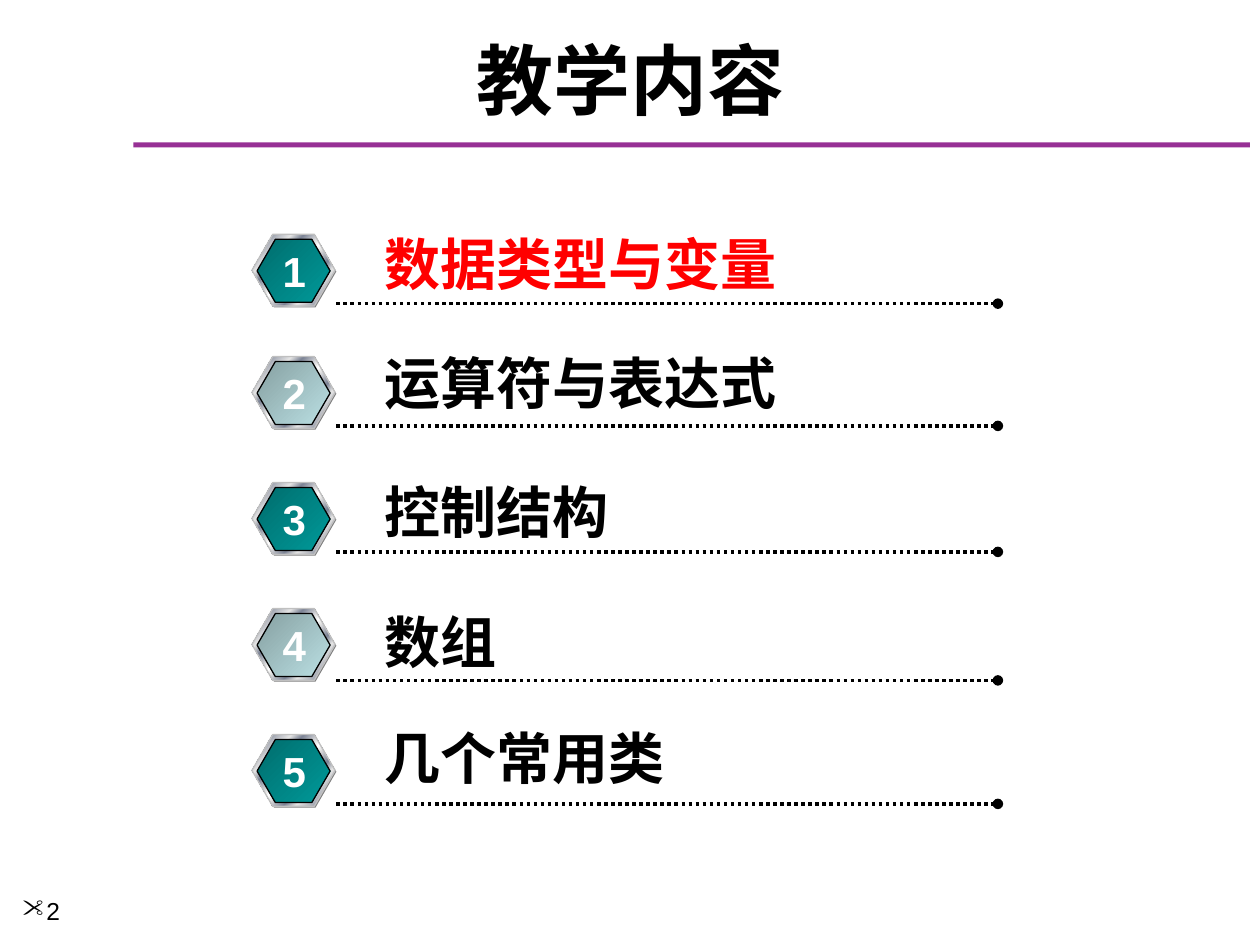
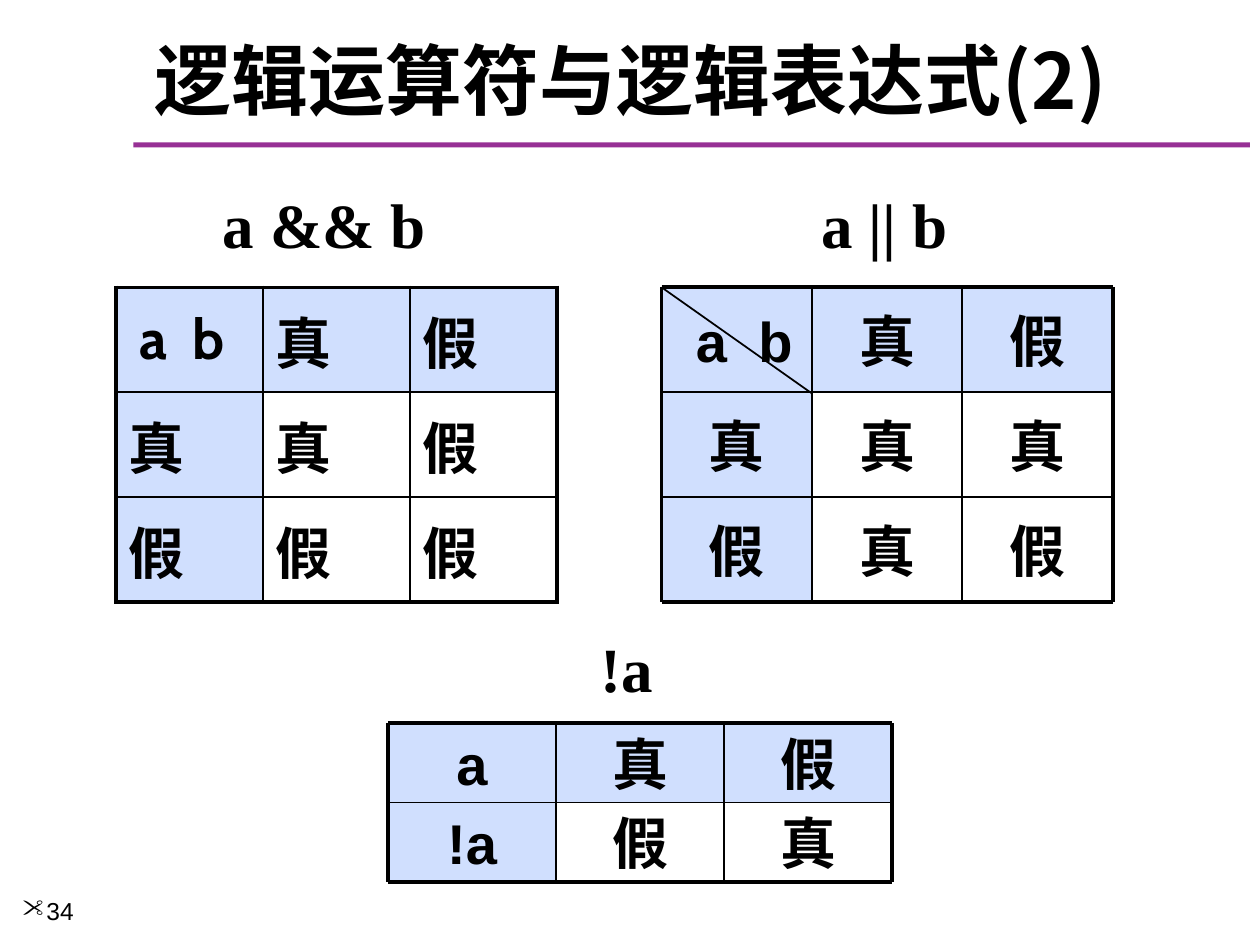
import pptx
import pptx.dml.color
import pptx.enum.dml
import pptx.enum.shapes
import pptx.enum.text
import pptx.oxml
import pptx.oxml.ns
import pptx.util
from pptx.util import Inches

COLORS = {
    "ink": "000000",
    "band": "973095",
    "highlight": "FF0000",
    "white": "FFFFFF",
    "header": "A2C1FE",
    "badge_shadow": "808080",
    "badge_edge": "C0C0C0",
}
TEAL = [(0, "006D6D"), (100, "009999")]
PALE = [(0, "86A0A2"), (100, "BBE0E3")]
METAL = [
    (0, "E6E6E6"), (8, "7D8496"), (26, "E6E6E6"), (34, "7D8496"),
    (46, "E6E6E6"), (50, "FFFFFF"), (54, "E6E6E6"), (66, "7D8496"),
    (74, "E6E6E6"), (92, "7D8496"), (100, "E6E6E6"),
]
CJK = "Noto Sans CJK SC"
SERIF = "Times New Roman"
TOPICS = [
    ("数据类型与变量", 1.86, 1.77, 2.41),
    ("运算符与表达式", 2.83, 2.72, 3.38),
    ("控制结构", 3.83, 3.74, 4.38),
    ("数组", 4.83, 4.77, 5.4),
    ("几个常用类", 5.83, 5.69, 6.38),
]
LEFT = pptx.enum.text.PP_ALIGN.LEFT
CENTER = pptx.enum.text.PP_ALIGN.CENTER
MIDDLE = pptx.enum.text.MSO_ANCHOR.MIDDLE
TOP = pptx.enum.text.MSO_ANCHOR.TOP
SHAPES = pptx.enum.shapes.MSO_SHAPE


def rgb(name):
    return pptx.dml.color.RGBColor.from_string(COLORS[name])


def element(xml):
    return pptx.oxml.parse_xml(xml.replace(">", f" {pptx.oxml.ns.nsdecls('a')}>", 1))


class Painter:
    def __init__(self, deck):
        self.deck = deck
        self.page = None

    def new_page(self, title, number):
        self.page = self.deck.slides.add_slide(self.deck.slide_layouts[6])
        self.shape(SHAPES.RECTANGLE, 1.06, 1.13, 8.86, 0.04, "band")
        self.text(title, 0.17, 0.25, 9.67, 0.75, 44, CJK, align=CENTER, anchor=MIDDLE)
        para = self.text(number, 0.08, 7.06, 1.08, 0.44, 14, bold=False)
        properties = para._p.get_or_add_pPr()
        properties.set("marL", str(Inches(0.19)))
        properties.set("indent", str(Inches(-0.19)))
        properties.append(element('<a:buFont typeface="Wingdings" charset="2"></a:buFont>'))
        properties.append(element('<a:buChar char="&quot;"></a:buChar>'))

    def span(self, para, text, size, font="Arial", color="ink", bold=True, spacing=0):
        span = para.add_run()
        span.text = text
        span.font.size = pptx.util.Pt(size)
        span.font.name = font
        span.font.bold = bold
        span.font.color.rgb = rgb(color)
        properties = span._r.get_or_add_rPr()
        properties.append(element(f'<a:ea typeface="{CJK}"></a:ea>'))
        if spacing:
            properties.set("spc", str(spacing * 100))

    def box(self, left, top, width, height):
        return self.page.shapes.add_textbox(
            Inches(left), Inches(top), Inches(width), Inches(height))

    def text(self, text, left, top, width, height, size, font="Arial",
             color="ink", bold=True, align=LEFT, anchor=TOP):
        frame = self.box(left, top, width, height).text_frame
        frame.word_wrap = True
        frame.vertical_anchor = anchor
        para = frame.paragraphs[0]
        para.alignment = align
        self.span(para, text, size, font, color, bold)
        return para

    def shape(self, kind, left, top, width, height, fill, edge=None):
        shape = self.page.shapes.add_shape(
            kind, Inches(left), Inches(top), Inches(width), Inches(height))
        shape.shadow.inherit = False
        if isinstance(fill, str):
            shape.fill.solid()
            shape.fill.fore_color.rgb = rgb(fill)
        else:
            self.gradient(shape, fill)
        if edge:
            shape.line.color.rgb = rgb(edge)
            shape.line.width = pptx.util.Pt(0.75)
        else:
            shape.line.fill.background()
        return shape

    def gradient(self, shape, stops):
        marks = "".join(
            f'<a:gs pos="{place * 1000}"><a:srgbClr val="{color}"/></a:gs>'
            for place, color in stops)
        fill = element(f'<a:gradFill rotWithShape="1"><a:gsLst>{marks}</a:gsLst>'
                       '<a:lin ang="2700000" scaled="1"/></a:gradFill>')
        shape._element.spPr.find(pptx.oxml.ns.qn("a:prstGeom")).addnext(fill)

    def line(self, start, end, width, dotted=False):
        line = self.page.shapes.add_connector(
            pptx.enum.shapes.MSO_CONNECTOR.STRAIGHT,
            *(Inches(value) for value in (*start, *end)))
        line.line.color.rgb = rgb("ink")
        line.line.width = pptx.util.Pt(width)
        if dotted:
            line.line.dash_style = pptx.enum.dml.MSO_LINE.ROUND_DOT
            line.line._get_or_add_ln().append(element('<a:tailEnd type="oval"></a:tailEnd>'))
        line._element.spPr.append(element("<a:effectLst></a:effectLst>"))

    def badge(self, number, top):
        colors = TEAL if number % 2 else PALE
        layers = [
            (2.01, top + 0.01, 0.66, 0.57, "badge_shadow", None),
            (2, top, 0.66, 0.57, METAL, "badge_edge"),
            (2.04, top + 0.04, 0.58, 0.5, colors, "ink"),
        ]
        for layer in layers:
            hexagon = self.shape(SHAPES.HEXAGON, *layer)
            hexagon.adjustments[0] = 0.29
        self.text(str(number), 2.14, top + 0.04, 0.39, 0.5, 24,
                  color="white", align=CENTER)

    def word(self, para, word, font, align, indent, spacing):
        para.alignment = align
        if word == "a b":
            para._p.get_or_add_pPr().set("marL", str(Inches(indent)))
            self.span(para, "a", 32, font)
            self.span(para, " ", 32, font, spacing=spacing)
            self.span(para, "b", 32, font)
        else:
            self.span(para, word, 32, font)

    def tint(self, fill, holder):
        fill.solid()
        fill.fore_color.rgb = rgb("header")
        color = holder.find(".//" + pptx.oxml.ns.qn("a:srgbClr"))
        color.append(element('<a:alpha val="50000"></a:alpha>'))

    def truth_table(self, rows, left, top, width, height):
        last_row, last_column = len(rows) - 1, len(rows[0]) - 1
        table = self.page.shapes.add_table(
            len(rows), len(rows[0]), Inches(left), Inches(top),
            Inches(width), Inches(height)).table
        table.first_row = table.horz_banding = False
        for row, words in enumerate(rows):
            for column, word in enumerate(words):
                cell = table.cell(row, column)
                cell.vertical_anchor = MIDDLE
                self.word(cell.text_frame.paragraphs[0], word, "Cabin", LEFT, 0.09, 7)
                if row == 0 or column == 0:
                    self.tint(cell.fill, cell._tc.tcPr)
                else:
                    cell.fill.background()
                self.cell_borders(cell, {
                    "L": column == 0, "R": column == last_column,
                    "T": row == 0, "B": row == last_row})

    def cell_borders(self, cell, sides):
        for place, (side, is_outer) in enumerate(sides.items()):
            width = pptx.util.Pt(2.25 if is_outer else 1)
            cell._tc.tcPr.insert(place, element(
                f'<a:ln{side} w="{width}"><a:solidFill><a:srgbClr val="{COLORS["ink"]}"/>'
                f'</a:solidFill></a:ln{side}>'))

    def ruled_grid(self, rows, left, top, width, height, cjk_font):
        row_count, column_count = len(rows), len(rows[0])
        xs = [left + width * step / column_count for step in range(column_count + 1)]
        ys = [top + height * step / row_count for step in range(row_count + 1)]
        for row, words in enumerate(rows):
            for column, word in enumerate(words):
                place = (xs[column], ys[row], width / column_count, height / row_count)
                if row == 0 or column == 0:
                    box = self.shape(SHAPES.RECTANGLE, *place, "header")
                    self.tint(box.fill, box._element.spPr)
                else:
                    box = self.box(*place)
                frame = box.text_frame
                frame.word_wrap = True
                frame.vertical_anchor = MIDDLE
                font = "Arial" if word.isascii() else cjk_font
                self.word(frame.paragraphs[0], word, font, CENTER, 0.12, 9)
        for y in ys:
            self.line((left, y), (xs[-1], y), 2.25 if y in (ys[0], ys[-1]) else 1)
        for x in xs:
            self.line((x, top), (x, ys[-1]), 2.25 if x in (xs[0], xs[-1]) else 1)


def contents_page(painter):
    painter.new_page("教学内容", "2")
    for number, (topic, badge_top, text_top, line_y) in enumerate(TOPICS, 1):
        painter.line((2.67, line_y), (7.92, line_y), 2, dotted=True)
        color = "highlight" if number == 1 else "ink"
        painter.text(topic, 2.95, text_top, 3.48, 0.64, 32, color=color)
        painter.badge(number, badge_top)


def logic_page(painter):
    painter.new_page("逻辑运算符与逻辑表达式(2)", "34")
    header = ["a b", "真", "假"]
    painter.truth_table([header, ["真", "真", "假"], ["假", "假", "假"]],
                        0.92, 2.28, 3.5, 2.5)
    painter.text("a && b", 1.67, 1.42, 1.83, 0.7, 36, SERIF)
    painter.text("a || b", 6.42, 1.42, 1.24, 0.7, 36, SERIF)
    painter.ruled_grid([header, ["真", "真", "真"], ["假", "真", "假"]],
                       5.25, 2.28, 3.58, 2.5, "Arial")
    painter.line((5.25, 2.28), (6.44, 3.12), 1)
    painter.ruled_grid([["a", "真", "假"], ["!a", "假", "真"]],
                       3.08, 5.74, 4, 1.26, CJK)
    painter.text("!a", 4.67, 4.95, 0.66, 0.7, 36, SERIF)


def main():
    deck = pptx.Presentation()
    deck.slide_width = Inches(10)
    deck.slide_height = Inches(7.5)
    painter = Painter(deck)
    contents_page(painter)
    logic_page(painter)
    deck.save("out.pptx")


if __name__ == "__main__":
    main()
